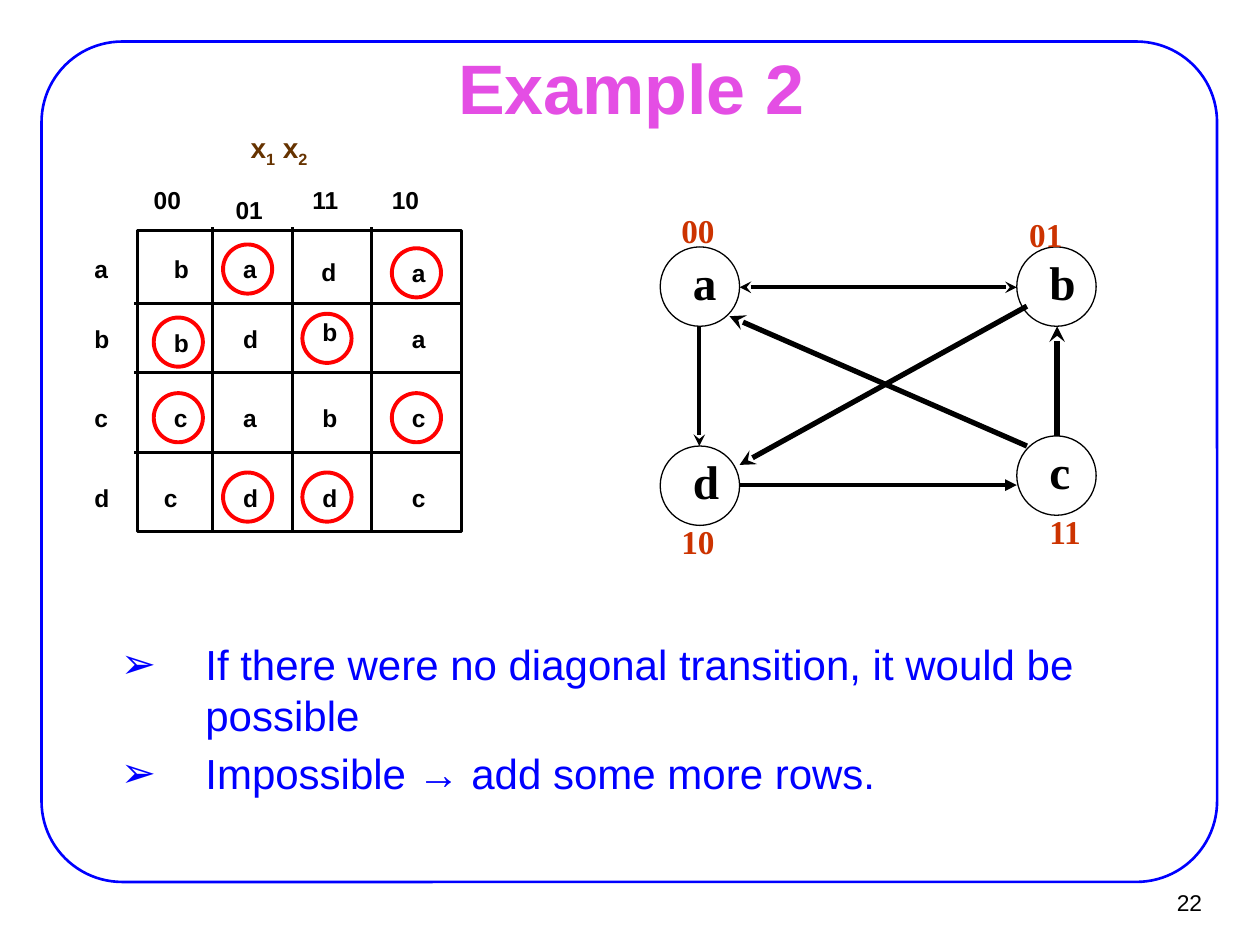
from lxml.etree import SubElement
from pptx import Presentation
from pptx.dml.color import RGBColor
from pptx.enum.shapes import MSO_CONNECTOR as CONN, MSO_SHAPE as SHAPE
from pptx.enum.text import MSO_ANCHOR as ANCHOR, MSO_AUTO_SIZE as FIT, PP_ALIGN as ALIGN
from pptx.oxml.ns import qn
from pptx.util import Inches, Pt

COLORS = {"black": "000000", "white": "FFFFFF", "blue": "0000FF", "red": "FF0000",
          "pink": "E44EE4", "brown": "663300", "rust": "CC3300"}

# Flow table: row and column text positions, entries, stable states
COL_X = [1.38, 1.93, 2.56, 3.27]
ROW_Y = [2.02, 2.57, 3.2, 3.83]
ENTRIES = ["bada", "bdba", "cabc", "cddc"]
STATES = "abcd"
INPUTS = [("00", 1.22, 1.47), ("01", 1.87, 1.55), ("11", 2.48, 1.47), ("10", 3.11, 1.47)]
# (row, column): text dx, text dy, ring dy
NUDGES = {(0, 2): (-0.01, 0.02, 0), (0, 3): (0, 0.03, 0.03), (1, 0): (0, 0.03, 0.03),
          (1, 2): (0, -0.05, 0), (3, 0): (-0.08, 0, 0)}

# State graph: name, left, top, code, code left, code top
NODES = [("a", 5.24, 1.96, "00", 5.31, 1.62), ("b", 8.07, 1.96, "01", 8.07, 1.65),
         ("c", 8.07, 3.46, "11", 8.23, 4.01), ("d", 5.24, 3.54, "10", 5.31, 4.09)]
# start, end, width, arrowheads
ARROWS = [((5.87, 2.28), (8.07, 2.28), 2.25, {"headEnd": "stealth", "tailEnd": "stealth"}),
          ((8.39, 3.46), (8.39, 2.59), 3, {"tailEnd": "stealth"}),
          ((5.55, 2.59), (5.55, 3.54), 2.25, {"tailEnd": "stealth"}),
          ((5.87, 3.85), (8.07, 3.85), 2.25, {"tailEnd": "triangle"}),
          ((8.15, 2.43), (5.87, 3.69), 3, {"tailEnd": "stealth"}),
          ((8.15, 3.54), (5.79, 2.51), 3, {"tailEnd": "stealth"})]


def rgb(name):
    return RGBColor.from_string(COLORS[name])


def set_attrs(obj, values):
    for key, value in values.items():
        setattr(obj, key, value)


def style_font(r, size, color, name="Arial", bold=False):
    set_attrs(r.font, {"size": Pt(size), "name": name, "bold": bold})
    r.font.color.rgb = rgb(color)


def set_frame(tf, inset_x=0, inset_y=0, anchor=ANCHOR.TOP):
    set_attrs(tf, {"word_wrap": True, "auto_size": FIT.NONE, "vertical_anchor": anchor,
                   "margin_left": Inches(inset_x), "margin_right": Inches(inset_x),
                   "margin_top": Inches(inset_y), "margin_bottom": Inches(inset_y)})


def place(sp, *box):
    set_attrs(sp, dict(zip(("left", "top", "width", "height"), map(Inches, box))))


def add_outline(shapes, kind, box, color, width, fill=None):
    s = shapes.add_shape(kind, *map(Inches, box))
    s.shadow.inherit = False
    if fill:
        s.fill.solid()
        s.fill.fore_color.rgb = rgb(fill)
    else:
        s.fill.background()
    s.line.color.rgb = rgb(color)
    s.line.width = Pt(width)
    return s


def add_label(shapes, text, box, size=14, color="black", font="Arial", bold=True, inset=(0, 0)):
    sp = shapes.add_textbox(*map(Inches, box))
    set_frame(sp.text_frame, *inset)
    p = sp.text_frame.paragraphs[0]
    r = p.add_run()
    r.text = text
    style_font(r, size, color, font, bold)
    return p


def add_line(shapes, start, end, width, heads=None):
    line = shapes.add_connector(CONN.STRAIGHT, *map(Inches, (*start, *end)))
    line.line.color.rgb = rgb("black")
    line.line.width = Pt(width)
    for tag, kind in (heads or {}).items():
        SubElement(line.line._get_or_add_ln(), qn("a:" + tag), type=kind)
    SubElement(line._element.spPr, qn("a:effectLst"))


def add_graph_label(shapes, text, box, size, color):
    p = add_label(shapes, text, box, size, color, "Times New Roman", inset=(0.1, 0.05))
    space = SubElement(p._p.get_or_add_pPr(), qn("a:spcBef"))
    SubElement(space, qn("a:spcPct"), val="50000")


def add_flow_table(shapes):
    # Grid
    add_outline(shapes, SHAPE.RECTANGLE, (1.09, 1.83, 2.57, 2.39), "black", 1.75)
    for y in (2.41, 2.96, 3.59):
        add_line(shapes, (3.66, y), (1.06, y), 1.75)
    for x in (1.69, 2.32, 2.95):
        add_line(shapes, (x, 4.22), (x, 1.8), 1.75)
    # Headings
    p = add_label(shapes, "x", (1.89, 0.99, 0.81, 0.37), 16, "brown", inset=(0.1, 0.05))
    for text, baseline in (("1", -25000), (" x", 0), ("2", -25000)):
        r = p.add_run()
        r.text = text
        style_font(r, 16, "brown", bold=True)
        r.font._element.set("baseline", str(baseline))
    for code, x, y in INPUTS:
        add_label(shapes, code, (x, y, 0.27, 0.23))
    # Entries, ringed where the state is stable
    for row, (state, y) in enumerate(zip(STATES, ROW_Y)):
        add_label(shapes, state, (0.75, y, 0.17, 0.23))
        for col, (entry, x) in enumerate(zip(ENTRIES[row], COL_X)):
            dx, dy, ring_dy = NUDGES.get((row, col), (0, 0, 0))
            add_label(shapes, entry, (x + dx, y + dy, 0.17, 0.23))
            if entry == state:
                ring = (x - 0.16, y - 0.08 + ring_dy, 0.39, 0.39)
                add_outline(shapes, SHAPE.OVAL, ring, "red", 2.25)


def add_state_graph(shapes):
    for name, x, y, code, code_x, code_y in NODES:
        add_outline(shapes, SHAPE.OVAL, (x, y, 0.63, 0.63), "black", 0.75, "white")
        add_graph_label(shapes, name, (x + 0.16, y, 0.55, 0.55), 27, "black")
        add_graph_label(shapes, code, (code_x, code_y, 0.79, 0.42), 19, "rust")
    for arrow in ARROWS:
        add_line(shapes, *arrow)


def fill_title(sp, text):
    place(sp, 0.76, 0.44, 8.5, 0.49)
    tf = sp.text_frame
    set_frame(tf, 0.11, 0.06, ANCHOR.MIDDLE)
    p = tf.paragraphs[0]
    p.alignment = ALIGN.CENTER
    r = p.add_run()
    r.text = text
    style_font(r, 40, "pink", bold=True)


def fill_list(sp, items):
    place(sp, 0.35, 5.01, 8.66, 1.81)
    tf = sp.text_frame
    set_frame(tf, 0.11, 0.06)
    for i, item in enumerate(items):
        p = tf.add_paragraph() if i else tf.paragraphs[0]
        p.level = 1
        pPr = p._p.get_or_add_pPr()
        pPr.set("marL", str(Inches(1.17)))
        pPr.set("indent", str(Inches(-0.67)))
        SubElement(pPr, qn("a:buChar"), char="➢")
        r = p.add_run()
        r.text = item
        style_font(r, 24, "blue")


def main():
    prs = Presentation()
    set_attrs(prs, {"slide_width": Inches(10), "slide_height": Inches(7.5)})
    s = prs.slides.add_slide(prs.slide_layouts[1])

    # Frame and page number
    frame = add_outline(s.shapes, SHAPE.ROUNDED_RECTANGLE, (0.33, 0.33, 9.33, 6.67), "blue", 1.5)
    frame.adjustments[0] = 0.096
    p = add_label(s.shapes, "22", (9.02, 6.99, 0.61, 0.37), 13, bold=False, inset=(0.09, 0.06))
    p.alignment = ALIGN.RIGHT

    # Title and list
    fill_title(s.shapes.title, "Example 2")
    fill_list(s.placeholders[1], ["If there were no diagonal transition, it would be possible",
                                  "Impossible → add some more rows."])

    # Flow table and state graph
    add_flow_table(s.shapes.add_group_shape().shapes)
    add_state_graph(s.shapes.add_group_shape().shapes)

    prs.save("out.pptx")


main()
